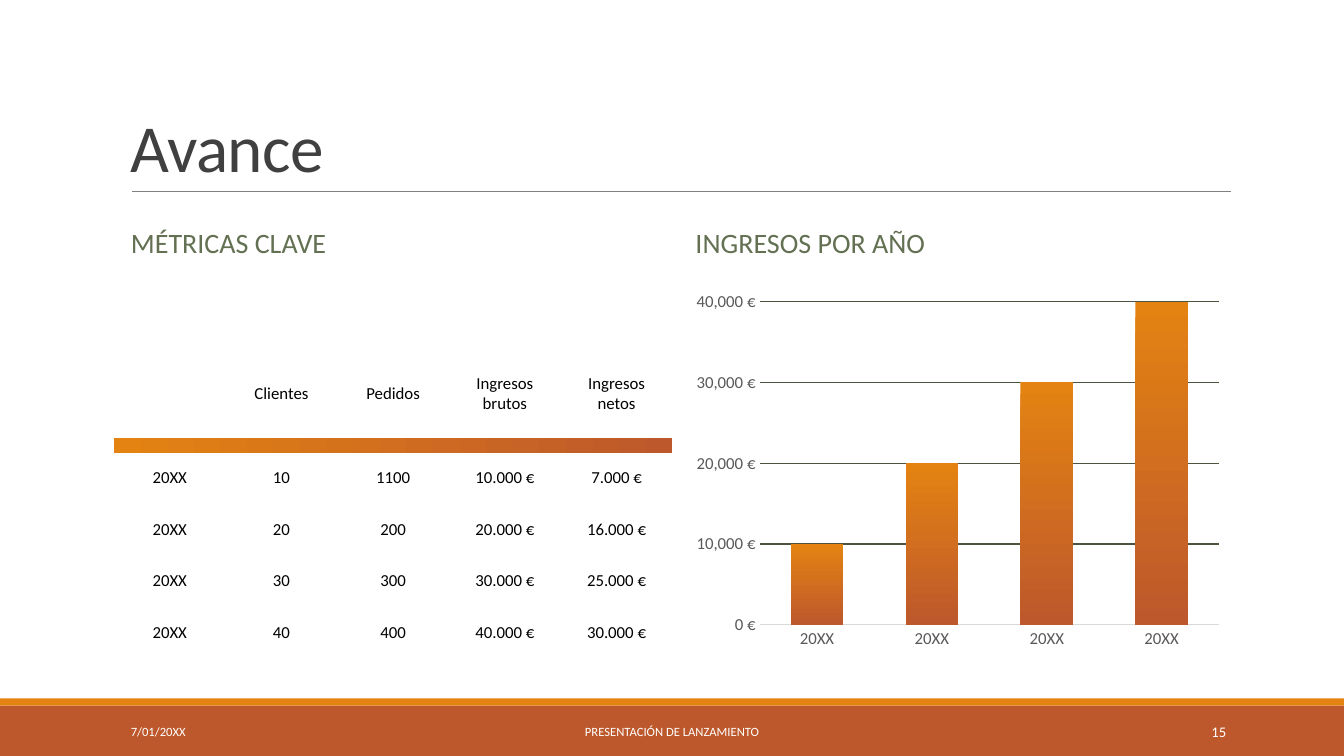
from dataclasses import dataclass

import lxml.etree
import pptx
import pptx.chart.data
import pptx.dml.color
import pptx.enum.chart
import pptx.enum.shapes
import pptx.enum.text
import pptx.oxml.ns
import pptx.util

Inches = pptx.util.Inches
Align = pptx.enum.text.PP_ALIGN
Anchor = pptx.enum.text.MSO_ANCHOR


@dataclass(frozen=True)
class Theme:
    """Hold the colours, font and type sizes of the slide."""
    font: str = "Calibri"
    orange: str = "E48312"
    rust: str = "BD582C"
    green: str = "637052"
    grid: str = "4A543E"
    axis: str = "D9D9D9"
    rule: str = "808080"
    title: str = "404040"
    label: str = "595959"
    black: str = "000000"
    white: str = "FFFFFF"
    title_size: float = 48
    heading_size: float = 20
    body_size: float = 12
    number_size: float = 10.5
    footer_size: float = 9


THEME = Theme()
METRICS = [
    ("", "Clientes", "Pedidos", "Ingresos brutos", "Ingresos netos"),
    ("",) * 5,
    ("20XX", "10", "1100", "10.000 €", "7.000 €"),
    ("20XX", "20", "200", "20.000 €", "16.000 €"),
    ("20XX", "30", "300", "30.000 €", "25.000 €"),
    ("20XX", "40", "400", "40.000 €", "30.000 €"),
]
REVENUE = (10000, 20000, 30000, 40000)


def rgb(value):
    """Return a colour object for a hex value."""
    return pptx.dml.color.RGBColor.from_string(value)


def apply_format(target, values):
    """Set each named attribute of an object."""
    for name, value in values.items():
        setattr(target, name, value)


def style_font(font, size, color):
    """Set the theme font with a size and colour."""
    apply_format(font, {"name": THEME.font, "size": pptx.util.Pt(size), "bold": False})
    font.color.rgb = rgb(color)


def style_line(line, color, width):
    """Set a line's colour and width."""
    line.color.rgb = rgb(color)
    line.width = pptx.util.Pt(width)


def fill_gradient(fill, angle):
    """Fill with the orange to rust gradient."""
    fill.gradient()
    fill.gradient_angle = angle
    for stop, color in zip(fill.gradient_stops, (THEME.orange, THEME.rust)):
        stop.color.rgb = rgb(color)


def add_text(slide, box, text, size, color, anchor=Anchor.MIDDLE, **paragraph_format):
    """Add a one-paragraph text box and return its run."""
    frame = slide.shapes.add_textbox(*map(Inches, box)).text_frame
    apply_format(frame, {"word_wrap": True, "vertical_anchor": anchor})
    paragraph = frame.paragraphs[0]
    apply_format(paragraph, paragraph_format)
    run = paragraph.add_run()
    run.text = text
    style_font(run.font, size, color)
    return run


def add_title(slide, box):
    """Add the slide title and the rule beneath it."""
    left, top, width, height = box
    run = add_text(slide, box, "Avance", THEME.title_size, THEME.title,
                   Anchor.BOTTOM, line_spacing=0.85)
    run.font._element.set("spc", "-50")
    bottom = Inches(top + height)
    rule = slide.shapes.add_connector(
        pptx.enum.shapes.MSO_CONNECTOR.STRAIGHT,
        Inches(left + 0.11), bottom, Inches(left + width + 0.01), bottom)
    style_line(rule.line, THEME.rule, 0.5)
    lxml.etree.SubElement(rule._element.spPr, pptx.oxml.ns.qn("a:effectLst"))


def add_heading(slide, box, text):
    """Add the heading of a column."""
    add_text(slide, box, text, THEME.heading_size, THEME.green, line_spacing=0.9)


def add_metrics(slide, box):
    """Add the metrics table with its gradient divider row."""
    heights = (0.89, 0.14) + (0.51,) * 4
    table = slide.shapes.add_table(len(METRICS), len(METRICS[0]), *map(Inches, box)).table
    apply_format(table, {"first_row": False, "horz_banding": False})
    style = table._tbl.tblPr.find(pptx.oxml.ns.qn("a:tableStyleId"))
    style.text = "{2D5ABB26-0587-4C30-8999-92F81FD0307C}"
    for column in table.columns:
        column.width = Inches(box[2] / len(METRICS[0]))
    for row, height, texts in zip(table.rows, heights, METRICS):
        row.height = Inches(height)
        for cell, text in zip(row.cells, texts):
            cell.fill.background()
            cell.vertical_anchor = Anchor.MIDDLE
            paragraph = cell.text_frame.paragraphs[0]
            paragraph.alignment = Align.CENTER
            if text:
                run = paragraph.add_run()
                run.text = text
                style_font(run.font, THEME.body_size, THEME.black)
            else:
                apply_format(cell, {"margin_top": 0, "margin_bottom": 0})
                paragraph._p.get_or_add_endParaRPr().set("sz", "100")
    divider = table.cell(1, 0)
    divider.merge(table.cell(1, len(METRICS[0]) - 1))
    fill_gradient(divider.fill, 0)


def add_revenue_chart(slide, box):
    """Add the column chart of revenue per year."""
    data = pptx.chart.data.CategoryChartData()
    data.categories = ["20XX"] * len(REVENUE)
    data.add_series("Series 1", REVENUE)
    chart = slide.shapes.add_chart(
        pptx.enum.chart.XL_CHART_TYPE.COLUMN_CLUSTERED, *map(Inches, box), data).chart
    apply_format(chart, {"has_legend": False, "has_title": False})
    style_font(chart.font, 10, THEME.black)
    plot = chart.plots[0]
    apply_format(plot, {"gap_width": 118, "overlap": -3, "vary_by_categories": False})
    fill_gradient(plot.series[0].format.fill, 270)
    no_tick = pptx.enum.chart.XL_TICK_MARK.NONE
    for axis in (chart.category_axis, chart.value_axis):
        apply_format(axis, {"major_tick_mark": no_tick, "minor_tick_mark": no_tick})
        style_font(axis.tick_labels.font, THEME.body_size, THEME.label)
    style_line(chart.category_axis.format.line, THEME.axis, 0.75)
    values = chart.value_axis
    apply_format(values, {"minimum_scale": 0, "maximum_scale": 40000,
                          "major_unit": 10000, "has_major_gridlines": True})
    apply_format(values.tick_labels, {"number_format": '#,##0\\ "€"',
                                      "number_format_is_linked": False})
    values.format.line.fill.background()
    style_line(values.major_gridlines.format.line, THEME.grid, 0.75)


def add_footer(slide, box):
    """Add the footer bands with date, name and slide number."""
    left, top, width, height = box
    stripe = 0.07
    for band_top, band_height, color in ((top + stripe, height - stripe, THEME.rust),
                                         (top, stripe, THEME.orange)):
        band = slide.shapes.add_shape(
            pptx.enum.shapes.MSO_SHAPE.RECTANGLE,
            *map(Inches, (left, band_top, width, band_height)))
        band.shadow.inherit = False
        band.fill.solid()
        band.fill.fore_color.rgb = rgb(color)
        band.line.fill.background()
    for offset, text_width, text, size, alignment in (
            (1.2, 2.7, "7/01/20XX", THEME.footer_size, Align.LEFT),
            (4.03, 5.27, "PRESENTACIÓN DE LANZAMIENTO", THEME.footer_size, Align.CENTER),
            (10.83, 1.43, "15", THEME.number_size, Align.RIGHT)):
        add_text(slide, (left + offset, top + 0.13, text_width, 0.4), text, size,
                 THEME.white, alignment=alignment)


def main():
    """Build the slide and save the presentation."""
    presentation = pptx.Presentation()
    apply_format(presentation, {"slide_width": Inches(13.33), "slide_height": Inches(7.5)})
    slide = presentation.slides.add_slide(presentation.slide_layouts[6])
    add_footer(slide, (0, 6.93, 13.33, 0.57))
    add_title(slide, (1.2, 0.31, 11, 1.59))
    add_heading(slide, (1.2, 2.02, 5.4, 0.81), "MÉTRICAS CLAVE")
    add_metrics(slide, (1.13, 3.46, 5.54, 3.07))
    add_heading(slide, (6.8, 2.02, 5.4, 0.81), "INGRESOS POR AÑO")
    add_revenue_chart(slide, (6.8, 2.82, 5.4, 3.69))
    presentation.save("out.pptx")


if __name__ == "__main__":
    main()
